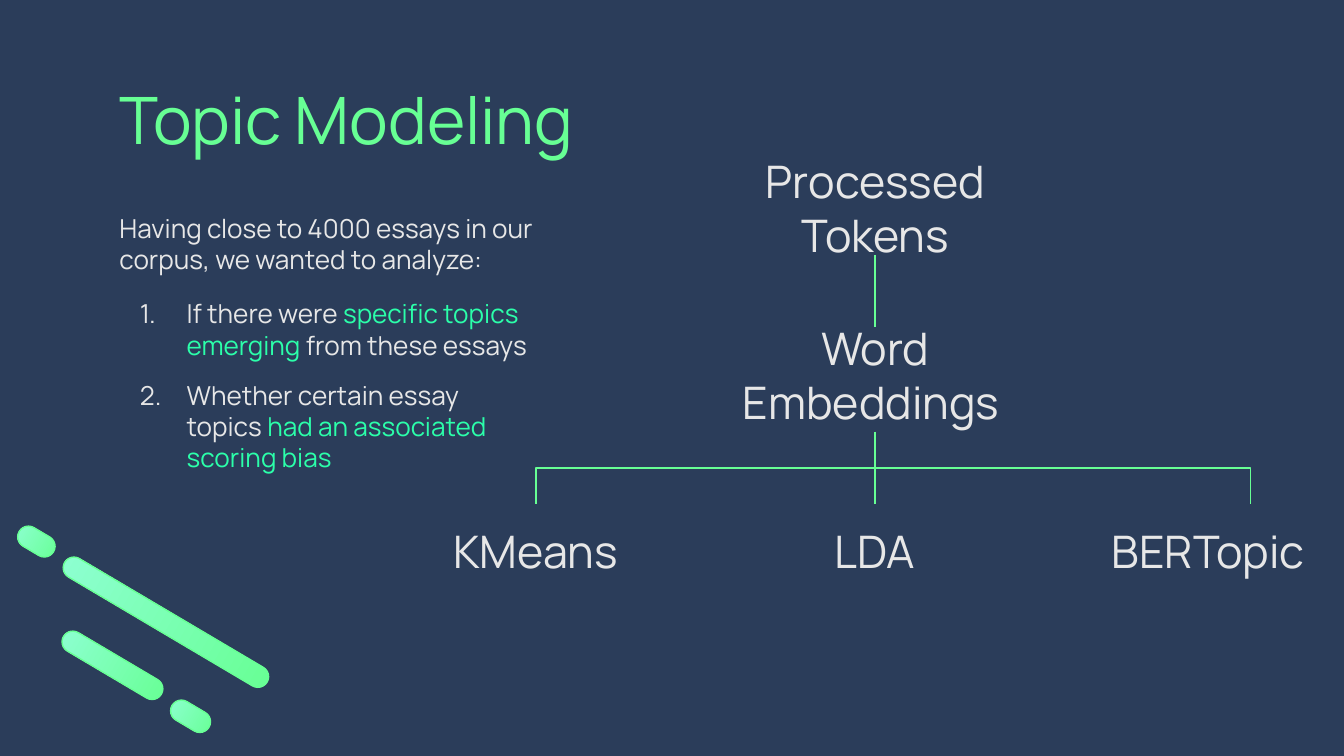
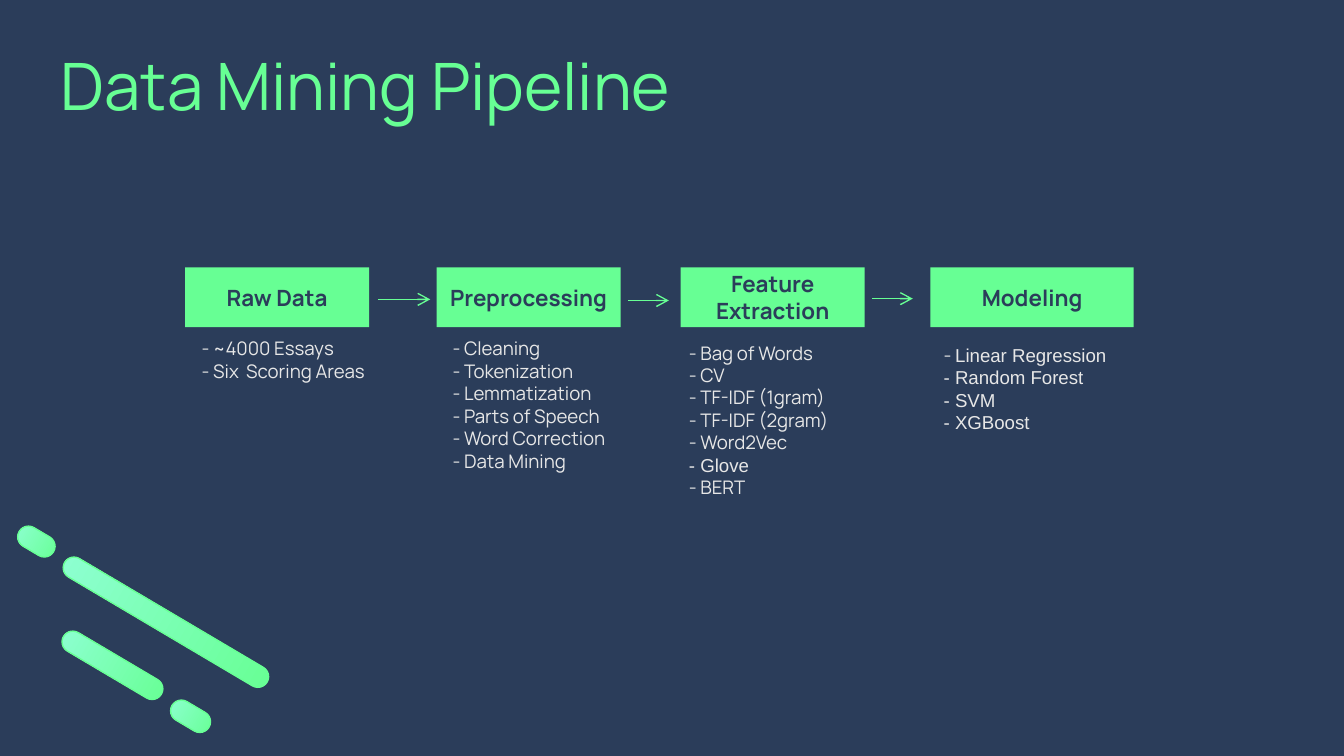
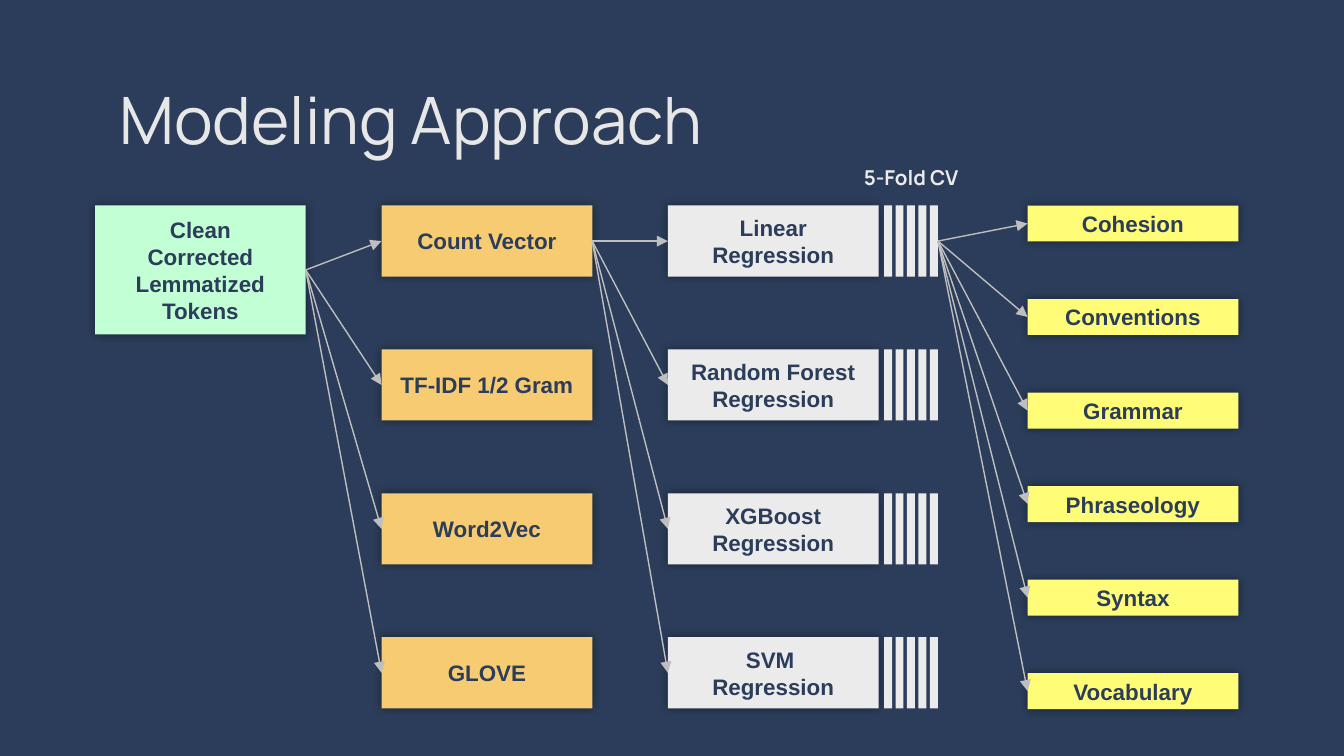
from copy import deepcopy

from lxml import etree
from pptx import Presentation
from pptx.dml.color import RGBColor
from pptx.enum import shapes, text
from pptx.oxml.ns import qn
from pptx.util import Pt

NAVY, GREEN, MINT, AQUA = "2B3D5A", "67FF94", "2BFFAA", "8EFFD2"
LIGHT, PALE, GRAY = "E7E7E7", "EBEBEB", "BFBFBF"
SANS, PLAIN = "Manrope", "Arial"

# left, top, width of each slanted bar in the corner
STRIPES = [(25.9, 327.6, 126), (8.8, 284.4, 21.4), (90.6, 378, 23), (29.8, 350.7, 60.9)]
STRIPE_HEIGHT, STRIPE_TILT = 11.5, 30.6

INTRO = ["Having close to 4000 essays in our corpus, we wanted to analyze:"]
QUESTIONS = [
    (12, ["If there were ", ("specific topics emerging ", {"color": MINT}),
          "from these essays"]),
    (10, ["Whether certain essay topics ",
          ("had an associated scoring bias", {"color": MINT})]),
]
# label, left, top, width
TOPIC_STEPS = [
    ("Processed\nTokens", 371.5, 96.5, 195),
    ("Word Embeddings ", 371.5, 185.8, 195),
    ("KMeans", 189.4, 280, 195),
    ("LDA", 371, 280, 195),
    ("BERTopic", 574.6, 280, 145.4),
]
TRUNK_X, FORK_TOP, FORK_BOTTOM = 468.7, 231.3, 270
KMEANS_X, BERTOPIC_X = 287.1, 669.9

# heading, box left, box width, list left, list top, list width, list height, items
STAGES = [
    ("Raw Data", 99.2, 98.6, 101, 173.5, 108, 37.4,
     [["- ~4000 Essays"], ["- Six  Scoring Areas"]]),
    ("Preprocessing", 233.9, 98.6, 235.4, 173.5, 98.6, 86.4,
     [["- Cleaning"], ["- Tokenization"], ["- Lemmatization"],
      ["- Parts of Speech"], ["- Word Correction"], ["- Data Mining"]]),
    ("Feature Extraction", 364.7, 98.6, 362, 175.7, 94.3, 90,
     [["- Bag of Words"], ["- CV"], ["- TF-IDF (1gram)"], ["- TF-IDF (2gram)"],
      ["- Word2Vec"], [("- Glove", {"font": PLAIN})], ["- BERT"]]),
    ("Modeling", 498.5, 108.9, 498.5, 177, 116, 77.8,
     [["- ", ("Linear Regression", {"font": PLAIN})]]
     + [[(item, {"font": PLAIN})] for item in ("- Random Forest", "- SVM", "- XGBoost")]),
]
STAGE_TOP, STAGE_HEIGHT = 143.2, 32.1
STAGE_ARROWS = [(202.5, 230.5, 160.4), (336.5, 358.3, 161), (467.3, 489, 160)]

FEATURES = ["Count Vector", "TF-IDF 1/2 Gram", "Word2Vec", "GLOVE"]
MODELS = ["Linear Regression", "Random Forest\nRegression",
          "XGBoost\nRegression", "SVM \nRegression"]
SCORES = ["Cohesion", "Conventions", "Grammar", "Phraseology", "Syntax", "Vocabulary"]
GRID_TOP, CARD_WIDTH = 110.1, 112.9
CARD_HEIGHT, CARD_STEP = 38.1, 77.1
SCORE_HEIGHT, SCORE_STEP = 19.3, 50.1
TOKENS_X, FEATURES_X, MODELS_X, SCORES_X = 50.9, 204.4, 357.8, 550.5
FOLD_X, FOLD_STEP, FOLD_WIDTH, FOLDS = 473.6, 6.15, 4.3, 5


def rgb(value):
    return RGBColor.from_string(value)


def add_xml(parent, tag, **attributes):
    return etree.SubElement(parent, qn(tag), attributes)


def write(frame, paragraphs, size, color=LIGHT, font=SANS, bold=False,
          align=None, anchor=text.MSO_ANCHOR.TOP, inset=7.2):
    """Fill a frame; a paragraph is a list of strings or (string, overrides) pairs."""
    frame.word_wrap = True
    frame.vertical_anchor = anchor
    frame.margin_left = frame.margin_right = Pt(7.2)
    frame.margin_top = frame.margin_bottom = Pt(inset)
    for index, spans in enumerate(paragraphs):
        para = frame.add_paragraph() if index else frame.paragraphs[0]
        para.alignment = align
        for item in spans:
            words, changes = item if isinstance(item, tuple) else (item, {})
            for number, line in enumerate(words.split("\n")):
                if number:
                    para.add_line_break()
                span = para.add_run()
                span.text = line
                span.font.size = Pt(size)
                span.font.bold = bold
                span.font.name = changes.get("font", font)
                span.font.color.rgb = rgb(changes.get("color", color))
                for line_break in para._p.findall(qn("a:br")):
                    if not len(line_break):
                        line_break.append(deepcopy(span._r.rPr))


def add_text(page, left, top, width, height, paragraphs, size, **style):
    box = page.shapes.add_textbox(Pt(left), Pt(top), Pt(width), Pt(height))
    write(box.text_frame, paragraphs, size, **style)
    return box


def add_box(page, left, top, width, height, fill, label=None, inset=7.2,
            font=SANS, shadow=False):
    box = page.shapes.add_shape(shapes.MSO_SHAPE.RECTANGLE,
                                Pt(left), Pt(top), Pt(width), Pt(height))
    box.fill.solid()
    box.fill.fore_color.rgb = rgb(fill)
    box.line.fill.background()
    box.shadow.inherit = False
    if shadow:
        effects = box.element.spPr.find(qn("a:effectLst"))
        outer = add_xml(effects, "a:outerShdw", blurRad=str(Pt(5)), dist="0", dir="0",
                        algn="ctr", rotWithShape="0")
        add_xml(add_xml(outer, "a:srgbClr", val="000000"), "a:alpha", val="40000")
    if label:
        write(box.text_frame, [[label]], 12, NAVY, font, True,
              text.PP_ALIGN.CENTER, text.MSO_ANCHOR.MIDDLE, inset)
    return box


def add_line(page, start, end, color=GREEN, arrow=None,
             kind=shapes.MSO_CONNECTOR.STRAIGHT):
    line = page.shapes.add_connector(kind, *(Pt(value) for value in (*start, *end)))
    line.line.color.rgb = rgb(color)
    line.line.width = Pt(0.75)
    if arrow:
        add_xml(line.line._get_or_add_ln(), "a:tailEnd", type=arrow)
    add_xml(line.element.spPr, "a:effectLst")
    return line


def add_fork(page, left, right, from_top):
    """Elbow that leaves vertically: drawn sideways, then turned by 270 degrees."""
    drop, span = FORK_BOTTOM - FORK_TOP, right - left
    middle_x, middle_y = (left + right) / 2, (FORK_TOP + FORK_BOTTOM) / 2
    near, far = middle_x - drop / 2, middle_x + drop / 2
    if from_top:
        near, far = far, near
    line = add_line(page, (near, middle_y - span / 2), (far, middle_y + span / 2),
                    kind=shapes.MSO_CONNECTOR.ELBOW)
    line.element.spPr.find(qn("a:xfrm")).set("rot", str(270 * 60000))


def join(page, source, targets):
    for target in targets:
        line = add_line(page, (0, 0), (1, 1), GRAY, "triangle")
        line.begin_connect(source, 3)
        line.end_connect(target, 1)


def add_page(deck, title, left=56.9, top=35.3, color=GREEN, stripes=True):
    page = deck.slides.add_slide(deck.slide_layouts[6])
    page.background.fill.solid()
    page.background.fill.fore_color.rgb = rgb(NAVY)
    for x, y, width in STRIPES if stripes else []:
        stripe = page.shapes.add_shape(shapes.MSO_SHAPE.ROUNDED_RECTANGLE,
                                       Pt(x), Pt(y), Pt(width), Pt(STRIPE_HEIGHT))
        stripe.adjustments[0] = 0.5
        stripe.rotation = STRIPE_TILT
        stripe.fill.gradient()
        stripe.fill.gradient_angle = 180
        for stop, tint in zip(stripe.fill.gradient_stops, (GREEN, AQUA)):
            stop.color.rgb = rgb(tint)
        stripe.line.color.rgb = rgb(GREEN)
        stripe.line.width = Pt(0.75)
        stripe.shadow.inherit = False
    add_text(page, left, top, 607, 45.4, [[title]], 35, color=color)
    return page


def topic_modeling(deck):
    page = add_page(deck, "Topic Modeling")
    body = add_text(page, 56.9, 106.6, 238.3, 192.2,
                    [INTRO] + [spans for _, spans in QUESTIONS], 14)
    for para, (space, _) in zip(body.text_frame.paragraphs[1:], QUESTIONS):
        properties = para._p.get_or_add_pPr()
        properties.set("marL", str(Pt(36)))
        properties.set("indent", str(Pt(-25)))
        add_xml(add_xml(properties, "a:buClr"), "a:srgbClr", val=LIGHT)
        add_xml(properties, "a:buFont", typeface=SANS)
        add_xml(properties, "a:buAutoNum", type="arabicPeriod")
        para.space_before = Pt(space)
    for label, left, top, width in TOPIC_STEPS:
        add_text(page, left, top, width, 29.5, [[label]], 24,
                 align=text.PP_ALIGN.CENTER, anchor=text.MSO_ANCHOR.MIDDLE)
    add_line(page, (TRUNK_X, 136.6), (TRUNK_X, 175))
    add_line(page, (TRUNK_X, FORK_TOP), (TRUNK_X, FORK_BOTTOM))
    add_fork(page, KMEANS_X, TRUNK_X, from_top=False)
    add_fork(page, TRUNK_X, BERTOPIC_X, from_top=True)


def pipeline(deck):
    page = add_page(deck, "Data Mining Pipeline", 25.5, 17.2)
    for heading, left, width, list_left, list_top, list_width, height, items in STAGES:
        add_box(page, left, STAGE_TOP, width, STAGE_HEIGHT, GREEN, heading)
        add_text(page, list_left, list_top, list_width, height, items, 10)
    for start, end, y in STAGE_ARROWS:
        add_line(page, (start, y), (end, y), arrow="arrow")


def modeling_approach(deck):
    page = add_page(deck, "Modeling Approach", color=LIGHT, stripes=False)

    def card(left, top, height, fill, label):
        return add_box(page, left, top, CARD_WIDTH, height, fill, label, 3.6, PLAIN, True)

    def column(left, labels, fill, height, step):
        return [card(left, GRID_TOP + row * step, height, fill, label)
                for row, label in enumerate(labels)]

    tokens = card(TOKENS_X, GRID_TOP, 69.1, "C2FFD4",
                  "Clean\nCorrected\nLemmatized\nTokens")
    features = column(FEATURES_X, FEATURES, "F6CB71", CARD_HEIGHT, CARD_STEP)
    models = column(MODELS_X, MODELS, PALE, CARD_HEIGHT, CARD_STEP)
    scores = column(SCORES_X, SCORES, "FFFD78", SCORE_HEIGHT, SCORE_STEP)
    folds = [add_box(page, FOLD_X + fold * FOLD_STEP, GRID_TOP + row * CARD_STEP,
                     FOLD_WIDTH, CARD_HEIGHT, PALE)
             for row in range(len(MODELS)) for fold in range(FOLDS)]
    caption = add_text(page, 455.7, 85, 67, 20.6, [["5-Fold CV"]], 11,
                       color=PALE, bold=True, inset=3.6)
    caption.text_frame.word_wrap = False
    caption.text_frame.auto_size = text.MSO_AUTO_SIZE.SHAPE_TO_FIT_TEXT
    join(page, tokens, features)
    join(page, features[0], models)
    join(page, folds[FOLDS - 1], scores)


def main():
    deck = Presentation()
    deck.slide_width, deck.slide_height = Pt(720), Pt(405)
    topic_modeling(deck)
    pipeline(deck)
    modeling_approach(deck)
    deck.save("out.pptx")


if __name__ == "__main__":
    main()
